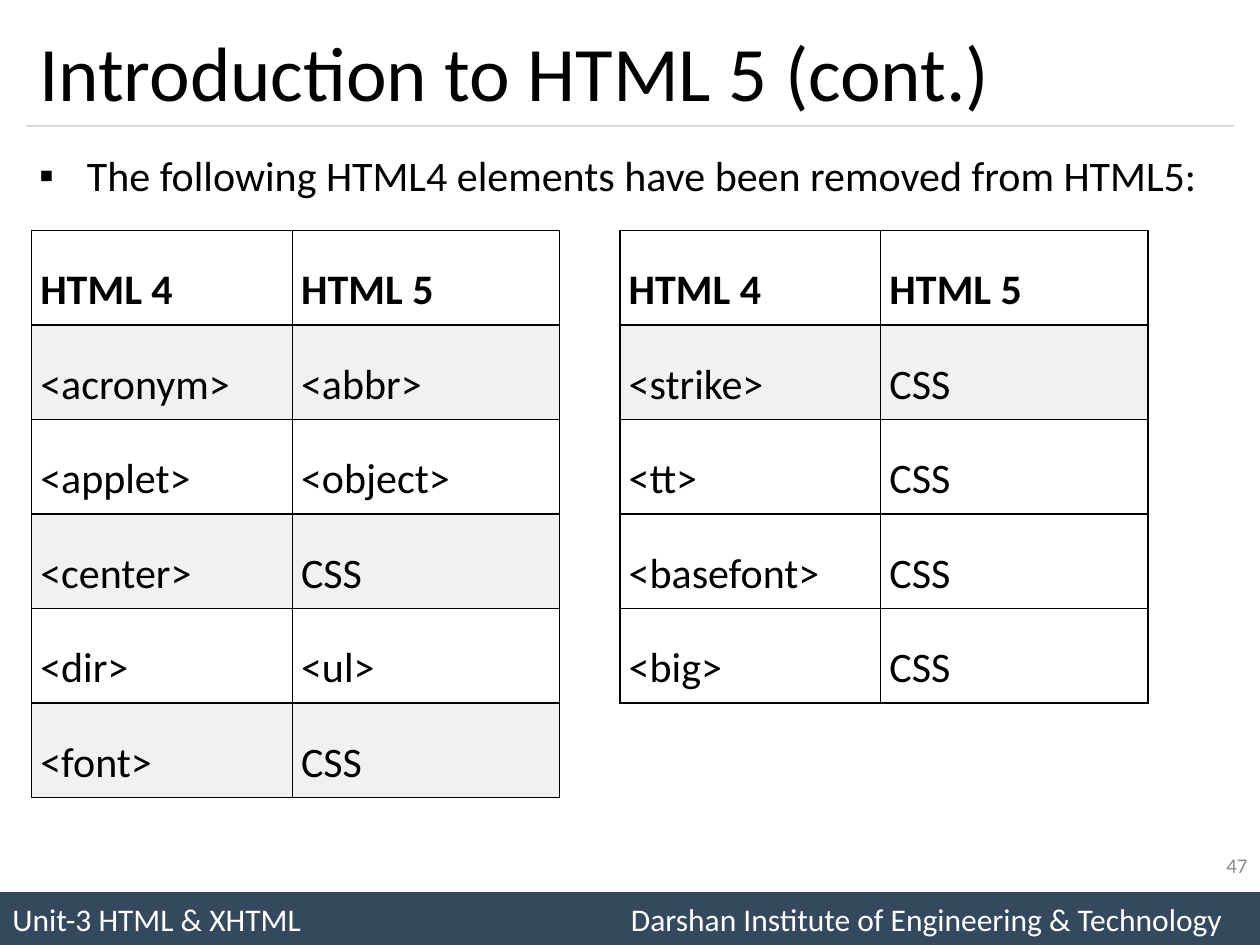
from lxml.etree import SubElement
from pptx import Presentation
from pptx.dml.color import RGBColor
from pptx.enum.shapes import MSO_CONNECTOR, MSO_SHAPE
from pptx.enum.text import MSO_ANCHOR, MSO_AUTO_SIZE, PP_ALIGN
from pptx.oxml import parse_xml
from pptx.oxml.ns import nsdecls, qn
from pptx.util import Inches, Pt

HUES = {"ink": "000000", "paper": "FFFFFF", "band": "F1F1F1",
        "bar": "34495E", "rule": "D9D9D9", "page": "8C8C8C"}


class Deck:
    font = "Calibri"

    def __init__(self, slide):
        self.slide = slide

    def hue(self, name):
        return RGBColor.from_string(HUES[name])

    def style(self, para, size, hue="ink", bold=False):
        for run in para.runs:
            font = run.font
            font.name, font.size, font.bold = self.font, Pt(size), bold
            font.color.rgb = self.hue(hue)

    def place(self, shape, box):
        shape.left, shape.top, shape.width, shape.height = map(Inches, box)

    def title(self, text, box):
        shape = self.slide.shapes.title
        self.place(shape, box)
        frame = shape.text_frame
        frame.text = text
        frame.auto_size = MSO_AUTO_SIZE.NONE
        frame.vertical_anchor = MSO_ANCHOR.MIDDLE
        para = frame.paragraphs[0]
        para.alignment = PP_ALIGN.LEFT
        self.style(para, 44)

    def body(self, text, box):
        shape = self.slide.placeholders[1]
        self.place(shape, box)
        frame = shape.text_frame
        frame.text = text
        frame.auto_size = MSO_AUTO_SIZE.NONE
        para = frame.paragraphs[0]
        para.line_spacing, para.space_before = 1.14, Pt(0)
        props = para._p.get_or_add_pPr()
        props.set("marL", str(Inches(0.38)))
        props.set("indent", str(-Inches(0.38)))
        SubElement(props, qn("a:buChar"), char="▪")
        self.style(para, 24)

    def rule(self, left, right, top):
        line = self.slide.shapes.add_connector(
            MSO_CONNECTOR.STRAIGHT, Inches(left), Inches(top), Inches(right), Inches(top))
        line.line.color.rgb = self.hue("rule")
        line.line.width = Pt(0.75)
        SubElement(line._element.spPr, qn("a:effectLst"))

    def footer(self, text, box, tab):
        shape = self.slide.shapes.add_shape(MSO_SHAPE.RECTANGLE, *map(Inches, box))
        shape.shadow.inherit = False
        shape.fill.solid()
        shape.fill.fore_color.rgb = self.hue("bar")
        shape.line.fill.background()
        frame = shape.text_frame
        frame.text = text
        frame.vertical_anchor = MSO_ANCHOR.MIDDLE
        para = frame.paragraphs[0]
        para.alignment = PP_ALIGN.LEFT
        stops = SubElement(para._p.get_or_add_pPr(), qn("a:tabLst"))
        SubElement(stops, qn("a:tab"), pos=str(Inches(tab)), algn="l")
        self.style(para, 18, "paper")

    def number(self, text, box):
        frame = self.slide.shapes.add_textbox(*map(Inches, box)).text_frame
        frame.word_wrap = True
        frame.vertical_anchor = MSO_ANCHOR.MIDDLE
        frame.text = text
        para = frame.paragraphs[0]
        para.alignment = PP_ALIGN.RIGHT
        self.style(para, 12, "page")

    def cell(self, cell, text, fill, bold):
        cell.text = text
        cell.margin_left = cell.margin_right = Inches(0.07)
        cell.margin_top = cell.margin_bottom = Inches(0.07)
        cell.fill.solid()
        cell.fill.fore_color.rgb = self.hue(fill)
        para = cell.text_frame.paragraphs[0]
        para.line_spacing = 1.5
        self.style(para, 24, bold=bold)
        props = cell._tc.get_or_add_tcPr()
        for spot, side in enumerate("LRTB"):
            props.insert(spot, parse_xml(
                f'<a:ln{side} {nsdecls("a")} w="{Pt(1)}"><a:solidFill>'
                f'<a:srgbClr val="{HUES["ink"]}"/></a:solidFill></a:ln{side}>'))

    def table(self, left, top, rows, bands):
        cols, high = (2.07, 2.12), 0.75
        grid = self.slide.shapes.add_table(
            len(rows), len(cols), Inches(left), Inches(top),
            Inches(sum(cols)), Inches(high * len(rows))).table
        grid.first_row = grid.horz_banding = False
        for col, wide in zip(grid.columns, cols):
            col.width = Inches(wide)
        for r, row in enumerate(rows):
            fill = "band" if r in bands else "paper"
            for c, text in enumerate(row):
                self.cell(grid.cell(r, c), text, fill, r == 0)


def main():
    prs = Presentation()
    prs.slide_width, prs.slide_height = Inches(10), Inches(7.5)
    deck = Deck(prs.slides.add_slide(prs.slide_layouts[1]))

    # Footer bar and heading
    deck.footer("Unit-3 HTML & XHTML\tDarshan Institute of Engineering & Technology",
                (0, 7.08, 10, 0.42), 4.91)
    deck.rule(0.21, 9.79, 1)
    deck.title("Introduction to HTML 5 (cont.)", (0.21, 0.12, 9.58, 0.88))
    deck.body("The following HTML4 elements have been removed from HTML5:",
              (0.21, 1.08, 9.58, 5.83))
    deck.number("47", (7.67, 6.67, 2.33, 0.4))

    # Removed elements and what replaces them
    head = ("HTML 4", "HTML 5")
    deck.table(0.25, 1.83, [head, ("<acronym>", "<abbr>"), ("<applet>", "<object>"),
                            ("<center>", "CSS"), ("<dir>", "<ul>"), ("<font>", "CSS")],
               bands=(1, 3, 5))
    old = ("<strike>", "<tt>", "<basefont>", "<big>")
    deck.table(4.92, 1.83, [head] + [(tag, "CSS") for tag in old], bands=(1,))

    prs.save("out.pptx")


if __name__ == "__main__":
    main()
